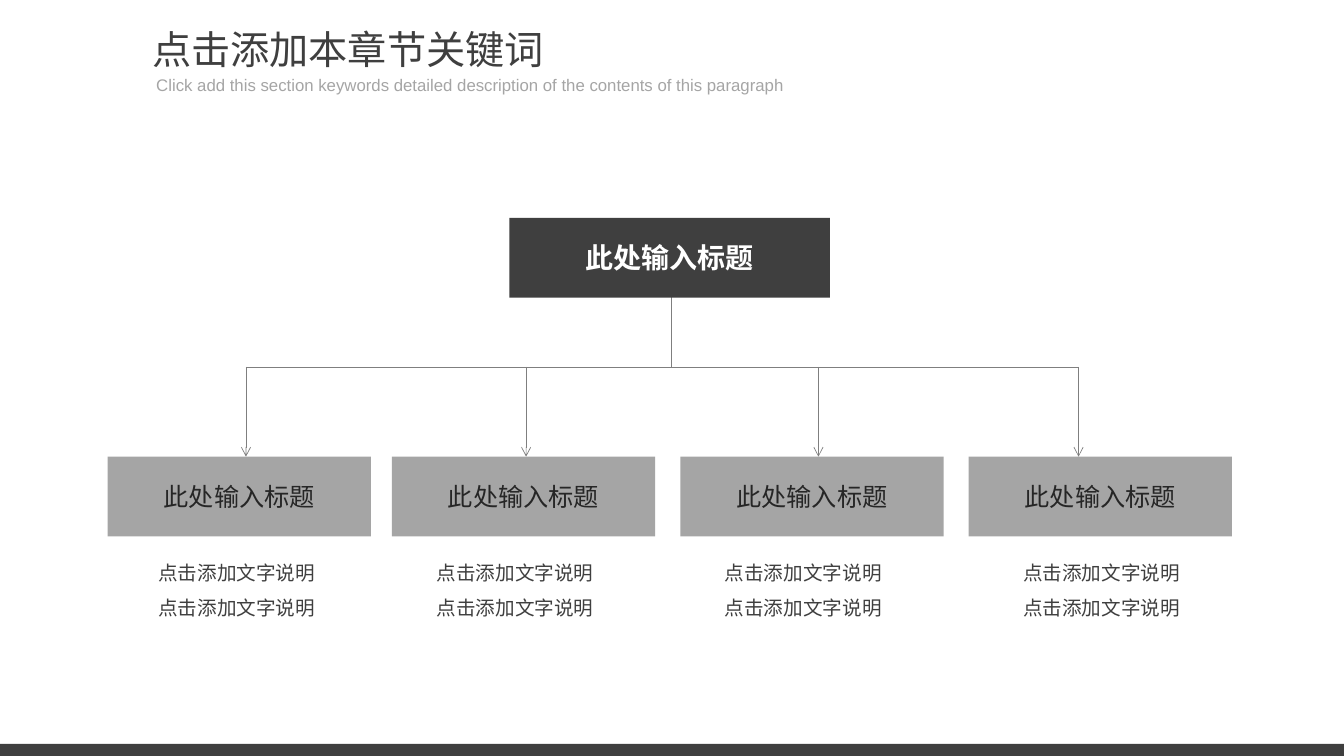
"""Build a one-level hierarchy slide with four captioned branches."""
from dataclasses import dataclass

import lxml.etree
import pptx
import pptx.dml.color
import pptx.enum.shapes
import pptx.enum.text
import pptx.oxml.ns
import pptx.util

Pt = pptx.util.Pt
ALIGN = pptx.enum.text.PP_ALIGN
ANCHOR = pptx.enum.text.MSO_ANCHOR
COLORS = {
    "dark": "3F3F3F",
    "gray": "A5A5A5",
    "line": "7F7F7F",
    "label": "262626",
    "white": "FFFFFF",
}
CJK_FONT = "Noto Sans CJK SC"
BUS_TOP = 262.1
BRANCH_TOP = 326.2
BOX_HEIGHT = 57


@dataclass(frozen=True)
class Frame:
    """Position and size in points."""
    left: float
    top: float
    width: float
    height: float


@dataclass(frozen=True)
class TextStyle:
    """Font and paragraph settings."""
    size: float
    color: str
    font: str = CJK_FONT
    bold: bool = False
    align: ALIGN = ALIGN.CENTER
    anchor: ANCHOR = ANCHOR.TOP
    line_spacing: float = 1.0
    wrap: bool = True


@dataclass(frozen=True)
class Branch:
    """Horizontal positions of one branch in points."""
    box_left: float
    arrow_x: float
    caption_left: float


TITLE_STYLE = TextStyle(28, "dark", "Noto Sans CJK JP", align=ALIGN.LEFT, wrap=False)
SUBTITLE_STYLE = TextStyle(12, "gray", "Arial", align=ALIGN.LEFT, wrap=False)
ROOT_STYLE = TextStyle(20, "white", bold=True, anchor=ANCHOR.MIDDLE)
BRANCH_STYLE = TextStyle(18, "label", anchor=ANCHOR.MIDDLE)
CAPTION_STYLE = TextStyle(14, "dark", line_spacing=1.5)
BRANCHES = [
    Branch(77, 175.7, 69.8),
    Branch(280, 375.8, 268.6),
    Branch(486, 584.6, 474.5),
    Branch(692, 770.4, 687.6),
]


def rgb(name: str) -> pptx.dml.color.RGBColor:
    """Return a named colour."""
    return pptx.dml.color.RGBColor.from_string(COLORS[name])


def lengths(frame: Frame) -> tuple:
    """Return the frame as lengths."""
    return Pt(frame.left), Pt(frame.top), Pt(frame.width), Pt(frame.height)


def write_text(shape, text: str, style: TextStyle) -> None:
    """Fill a shape with styled text."""
    text_frame = shape.text_frame
    text_frame.text = text
    text_frame.word_wrap = style.wrap
    text_frame.auto_size = pptx.enum.text.MSO_AUTO_SIZE.NONE
    text_frame.vertical_anchor = style.anchor
    for paragraph in text_frame.paragraphs:
        paragraph.alignment = style.align
        paragraph.line_spacing = style.line_spacing
        paragraph.space_before = Pt(0)
        for run in paragraph.runs:
            run.font.size = Pt(style.size)
            run.font.bold = style.bold
            run.font.color.rgb = rgb(style.color)
            run.font.name = style.font
            properties = run.font.color and run._r.get_or_add_rPr()
            east_asian = lxml.etree.SubElement(properties, pptx.oxml.ns.qn("a:ea"))
            east_asian.set("typeface", style.font)


def fill_placeholder(shape, frame: Frame, text: str, style: TextStyle) -> None:
    """Move a placeholder and write its text."""
    shape.left, shape.top, shape.width, shape.height = lengths(frame)
    write_text(shape, text, style)


def add_box(slide, frame: Frame, color: str):
    """Add a plain filled rectangle."""
    rectangle = pptx.enum.shapes.MSO_SHAPE.RECTANGLE
    shape = slide.shapes.add_shape(rectangle, *lengths(frame))
    shape.shadow.inherit = False
    shape.fill.solid()
    shape.fill.fore_color.rgb = rgb(color)
    shape.line.fill.background()
    return shape


def add_line(slide, start: tuple, end: tuple, arrow: bool = False) -> None:
    """Add a thin line, with an open arrowhead if asked."""
    connector = slide.shapes.add_connector(
        pptx.enum.shapes.MSO_CONNECTOR.STRAIGHT, *map(Pt, start + end))
    connector.line.color.rgb = rgb("line")
    connector.line.width = Pt(0.5)
    qualified = pptx.oxml.ns.qn
    properties = connector.element.spPr
    if arrow:
        outline = properties.find(qualified("a:ln"))
        lxml.etree.SubElement(outline, qualified("a:tailEnd")).set("type", "arrow")
    lxml.etree.SubElement(properties, qualified("a:effectLst"))


def add_branch(slide, branch: Branch) -> None:
    """Add the arrow, box and caption of one branch."""
    add_line(slide, (branch.arrow_x, BUS_TOP), (branch.arrow_x, BRANCH_TOP), arrow=True)
    caption = slide.shapes.add_textbox(*lengths(Frame(branch.caption_left, 388.8, 198.7, 58)))
    write_text(caption, "点击添加文字说明\n点击添加文字说明", CAPTION_STYLE)
    box = add_box(slide, Frame(branch.box_left, BRANCH_TOP, 188, BOX_HEIGHT), "gray")
    write_text(box, "此处输入标题", BRANCH_STYLE)


def main() -> None:
    """Build and save the presentation."""
    presentation = pptx.Presentation()
    presentation.slide_width, presentation.slide_height = Pt(960), Pt(540)
    slide = presentation.slides.add_slide(presentation.slide_layouts[0])
    fill_placeholder(slide.shapes.title, Frame(101.5, 14.4, 297.4, 41),
                     "点击添加本章节关键词", TITLE_STYLE)
    fill_placeholder(
        slide.placeholders[1], Frame(104.4, 49.7, 466.6, 21.6),
        "Click add this section keywords detailed description of the contents of this paragraph",
        SUBTITLE_STYLE)
    add_box(slide, Frame(0, 531.4, 960, 8.6), "dark")
    add_line(slide, (BRANCHES[0].arrow_x, BUS_TOP), (BRANCHES[-1].arrow_x, BUS_TOP))
    add_line(slide, (479.5, 212.5), (479.5, BUS_TOP))
    root = add_box(slide, Frame(363.8, 155.6, 229, BOX_HEIGHT), "dark")
    write_text(root, "此处输入标题", ROOT_STYLE)
    for branch in BRANCHES:
        add_branch(slide, branch)
    presentation.save("out.pptx")


if __name__ == "__main__":
    main()
